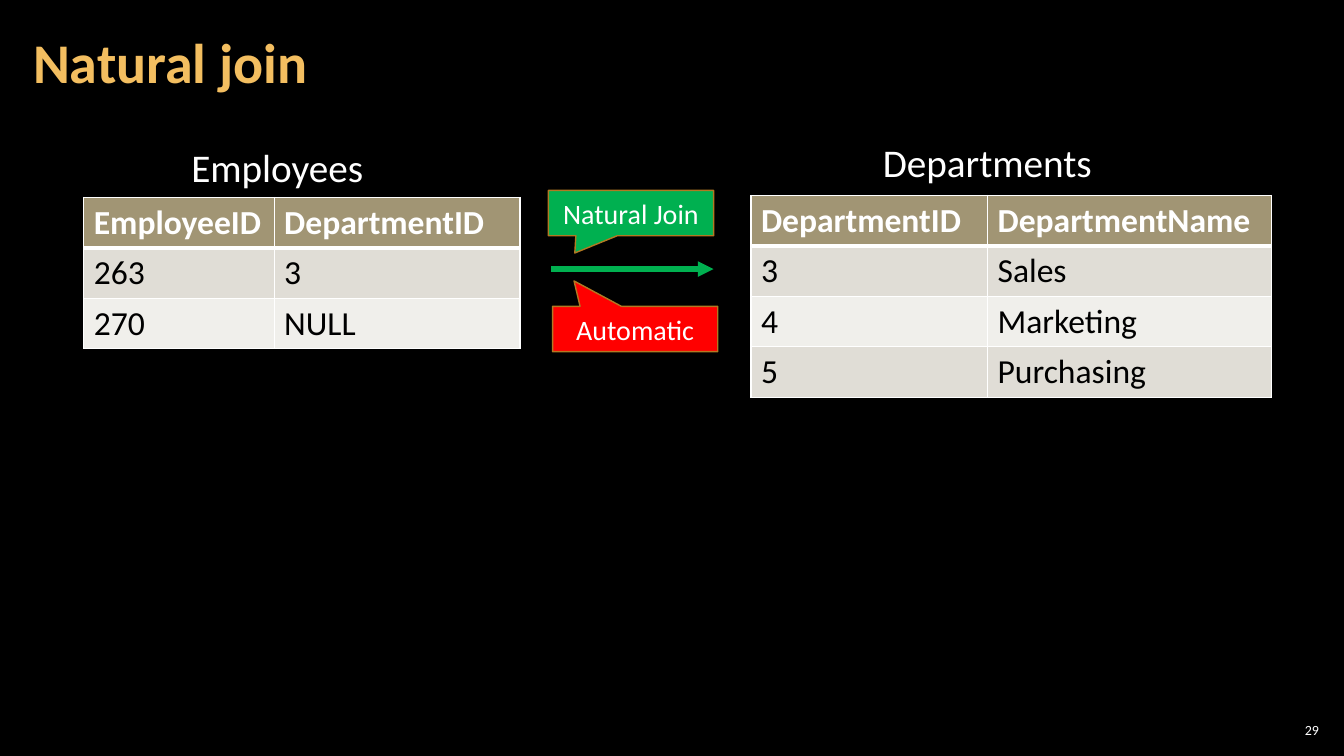
from lxml import etree
from pptx import Presentation
from pptx.dml.color import RGBColor
from pptx.enum import shapes, text
from pptx.oxml import ns
from pptx.util import Pt

WHITE = RGBColor(0xFF, 0xFF, 0xFF)
BLACK = RGBColor(0x00, 0x00, 0x00)
GOLD = RGBColor(0xF3, 0xBE, 0x60)
GREEN = RGBColor(0x00, 0xB0, 0x50)
RED = RGBColor(0xFF, 0x00, 0x00)
BROWN = RGBColor(0xB2, 0x78, 0x22)
HEAD = RGBColor(0xA1, 0x95, 0x74)
BANDS = (RGBColor(0xE0, 0xDD, 0xD6), RGBColor(0xF0, 0xEF, 0xEB))
LEFT, MID, RIGHT = text.PP_ALIGN.LEFT, text.PP_ALIGN.CENTER, text.PP_ALIGN.RIGHT
ROW = 36


def write(frame, words, size, color=WHITE, bold=False, align=LEFT):
    para = frame.paragraphs[0]
    para.alignment = align
    run = para.add_run()
    run.text = words
    run.font.name = "Calibri"
    run.font.size = Pt(size)
    run.font.bold = bold
    run.font.color.rgb = color
    return para


def label(slide, box, words, size, inset=(7.2, 3.6), wrap=True,
          anchor=text.MSO_ANCHOR.MIDDLE, **style):
    frame = slide.shapes.add_textbox(*map(Pt, box)).text_frame
    frame.word_wrap = wrap
    frame.vertical_anchor = anchor
    frame.margin_left = frame.margin_right = Pt(inset[0])
    frame.margin_top = frame.margin_bottom = Pt(inset[1])
    return write(frame, words, size, **style)


def border(cell, head):
    props = cell._tc.get_or_add_tcPr()
    for spot, side in enumerate("LRTB"):
        width = 3 if head and side == "B" else 1
        line = etree.Element(ns.qn("a:ln" + side), w=str(Pt(width)))
        fill = etree.SubElement(line, ns.qn("a:solidFill"))
        etree.SubElement(fill, ns.qn("a:srgbClr"), val=str(WHITE))
        props.insert(spot, line)


def grid(slide, left, top, cols, rows):
    frame = slide.shapes.add_table(len(rows), len(cols), Pt(left), Pt(top),
                                   Pt(sum(cols)), Pt(ROW * len(rows)))
    table = frame.table
    for col, width in zip(table.columns, cols):
        col.width = Pt(width)
    for r, words in enumerate(rows):
        head = r == 0
        table.rows[r].height = Pt(ROW)
        for c, word in enumerate(words):
            cell = table.cell(r, c)
            cell.fill.solid()
            cell.fill.fore_color.rgb = HEAD if head else BANDS[(r - 1) % 2]
            border(cell, head)
            write(cell.text_frame, word, 24, WHITE if head else BLACK, head)


def entity(slide, left, top, name, shift, width, cols, rows):
    label(slide, (left + shift[0], top - shift[1], width, 41), name, 28,
          wrap=False, anchor=text.MSO_ANCHOR.TOP)
    grid(slide, left, top, cols, rows)


def callout(slide, left, top, words, color, tip):
    shape = slide.shapes.add_shape(shapes.MSO_SHAPE.RECTANGULAR_CALLOUT,
                                   Pt(left), Pt(top), Pt(118), Pt(32.4))
    shape.shadow.inherit = False
    shape.adjustments[0], shape.adjustments[1] = tip
    shape.fill.solid()
    shape.fill.fore_color.rgb = color
    shape.line.color.rgb = BROWN
    shape.line.width = Pt(1)
    shape.text_frame.vertical_anchor = text.MSO_ANCHOR.MIDDLE
    write(shape.text_frame, words, 20, align=MID)


def link(slide, left, top, width):
    y = top + 56.2
    arrow = slide.shapes.add_connector(shapes.MSO_CONNECTOR.STRAIGHT, Pt(left + 2),
                                       Pt(y), Pt(left + width), Pt(y))
    arrow.line.color.rgb = GREEN
    arrow.line.width = Pt(3.75)
    etree.SubElement(arrow.line._get_or_add_ln(), ns.qn("a:tailEnd"), type="triangle")
    etree.SubElement(arrow._element.spPr, ns.qn("a:effectLst"))
    callout(slide, left, top, "Natural Join", GREEN, (-0.34, 0.88))
    callout(slide, left + 3, top + 82.8, "Automatic", RED, (-0.37, -1.06))


def main():
    deck = Presentation()
    deck.slide_width, deck.slide_height = Pt(960), Pt(540)
    slide = deck.slides.add_slide(deck.slide_layouts[6])
    slide.background.fill.solid()
    slide.background.fill.fore_color.rgb = BLACK
    title = label(slide, (15, 3, 754, 87), "Natural join", 40, (8.64, 2.88),
                  color=GOLD, bold=True)
    title.line_spacing = 0.9
    label(slide, (911, 514, 34, 15), "29", 10, (2.88, 2.88), align=RIGHT)
    entity(slide, 59.8, 141.1, "Employees", (69.8, 42.5), 138, (136, 175.7),
           (("EmployeeID", "DepartmentID"), ("263", "3"), ("270", "NULL")))
    entity(slide, 536.4, 139.7, "Departments", (87.1, 44.6), 165.6, (169, 203),
           (("DepartmentID", "DepartmentName"), ("3", "Sales"),
            ("4", "Marketing"), ("5", "Purchasing")))
    link(slide, 391.7, 136, 118)
    deck.save("out.pptx")


if __name__ == "__main__":
    main()
